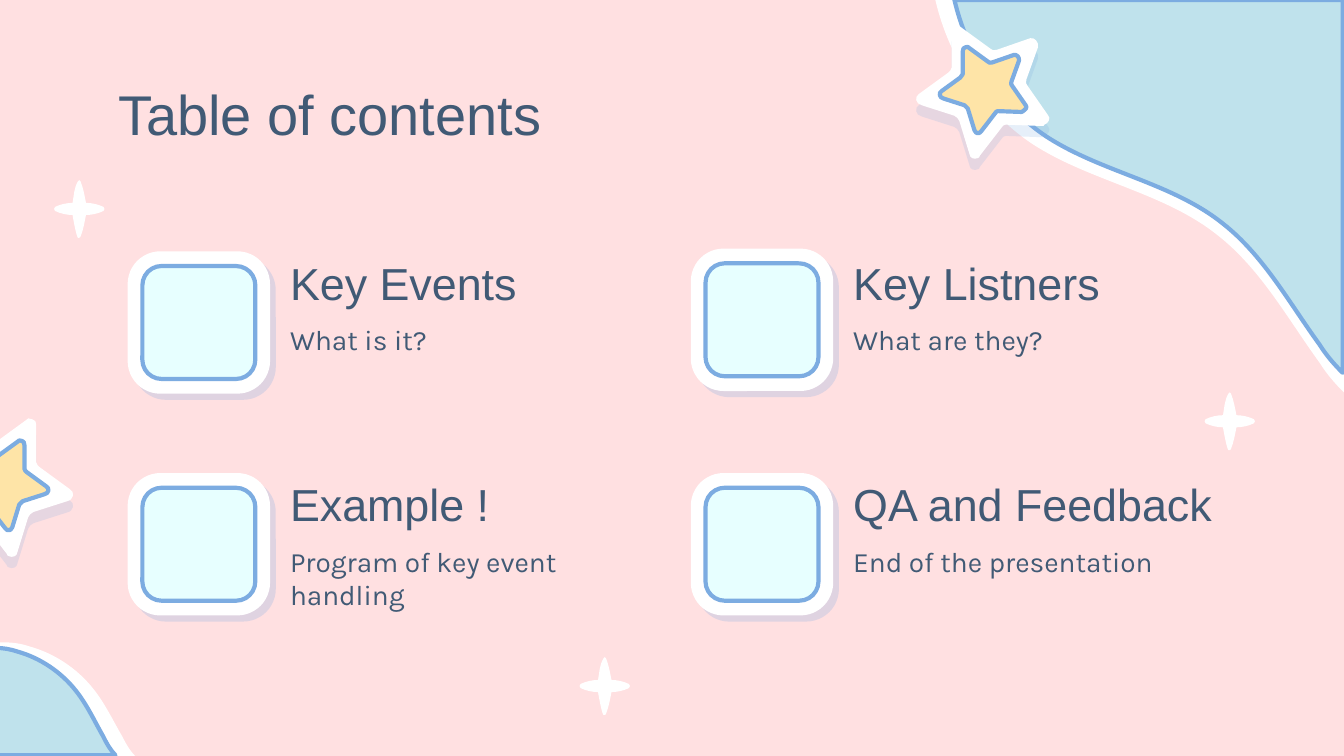
from dataclasses import dataclass

from pptx import Presentation
from pptx.dml.color import RGBColor
from pptx.enum.shapes import MSO_SHAPE
from pptx.enum.text import MSO_ANCHOR, MSO_AUTO_SIZE, PP_ALIGN
from pptx.oxml.ns import qn
from pptx.oxml.xmlchemy import OxmlElement
from pptx.util import Inches, Pt


@dataclass(frozen=True)
class Theme:
    background: str = "FFE0E1"
    white: str = "FFFFFF"
    cloud: str = "BFE2EC"
    tile: str = "E7FFFF"
    star: str = "FEE4A7"
    outline: str = "7CACE1"
    ink: str = "415A75"
    outline_width: float = 2.25
    title_size: int = 30
    heading_size: int = 24
    body_size: int = 15
    heading_font: str = "Arial"
    body_font: str = "Karla"


@dataclass(frozen=True)
class Entry:
    heading: str
    detail: str
    left: float
    top: float
    tile_top: float
    heading_width: float = 2.8


THEME = Theme()

ENTRIES = [
    Entry("Key Events", "What is it?", 0.95, 1.87, 1.87),
    Entry("Key Listners", "What are they?", 5.14, 1.87, 1.85),
    Entry("Example !", "Program of key event handling", 0.95, 3.52, 3.52),
    Entry("QA and Feedback", "End of the presentation", 5.14, 3.52, 3.52, 3.09),
]

# Outlines in inches around an anchor: a start point, then lines (x, y)
# and cubic curves (x1, y1, x2, y2, x, y).
BOTTOM_CLOUD = [
    (-0.08, 0), (-0.09, 0, -0.1, -0.02, -0.12, -0.03),
    (-0.18, -0.12, -0.24, -0.21, -0.28, -0.3),
    (-0.32, -0.4, -0.34, -0.51, -0.31, -0.61),
    (-0.27, -0.72, -0.19, -0.8, -0.09, -0.83),
    (-0.05, -0.85, -0.01, -0.85, 0.04, -0.85),
    (0.1, -0.85, 0.16, -0.84, 0.22, -0.82),
    (0.4, -0.77, 0.57, -0.66, 0.69, -0.51),
    (0.78, -0.4, 0.84, -0.27, 0.91, -0.15), (0.94, -0.09, 0.97, -0.04, 1.01, 0),
]
CORNER_CLOUD = [
    (-3.04, 0), (-2.94, 0.43, -2.68, 0.83, -2.32, 1.07),
    (-1.89, 1.35, -1.34, 1.43, -0.94, 1.75), (-0.62, 2, -0.42, 2.37, -0.18, 2.7),
    (-0.13, 2.78, -0.07, 2.85, 0, 2.92), (0, 0),
]
STAR = [
    (0.22, -0.46), (0.2, -0.47, 0.18, -0.47, 0.17, -0.45),
    (-0.05, -0.29), (-0.06, -0.28, -0.08, -0.27, -0.1, -0.28),
    (-0.36, -0.37), (-0.39, -0.38, -0.43, -0.34, -0.42, -0.3),
    (-0.33, -0.05), (-0.32, -0.03, -0.33, -0.01, -0.34, 0),
    (-0.5, 0.23), (-0.52, 0.25, -0.5, 0.29, -0.47, 0.3),
    (-0.47, 0.31, -0.46, 0.31, -0.45, 0.31),
    (-0.17, 0.3), (-0.16, 0.3, -0.14, 0.31, -0.14, 0.32),
    (0.03, 0.54), (0.03, 0.55, 0.04, 0.56, 0.05, 0.56),
    (0.07, 0.57, 0.11, 0.56, 0.11, 0.53),
    (0.19, 0.27), (0.2, 0.25, 0.21, 0.24, 0.23, 0.23),
    (0.48, 0.15), (0.53, 0.14, 0.54, 0.08, 0.5, 0.06),
    (0.28, -0.1), (0.26, -0.11, 0.26, -0.12, 0.25, -0.14),
    (0.25, -0.41), (0.25, -0.44, 0.24, -0.46, 0.22, -0.46),
]
SPARKLE = [
    (0, -0.21), (-0.01, -0.21, -0.01, -0.21, -0.01, -0.2),
    (-0.04, -0.15, -0.04, -0.09, -0.05, -0.04),
    (-0.09, -0.04, -0.14, -0.03, -0.18, -0.01),
    (-0.19, 0, -0.19, 0.01, -0.18, 0.02),
    (-0.14, 0.04, -0.09, 0.05, -0.05, 0.05),
    (-0.04, 0.11, -0.02, 0.21, -0.01, 0.22), (0, 0.22, 0.01, 0.22, 0.01, 0.21),
    (0.03, 0.16, 0.04, 0.1, 0.05, 0.05), (0.09, 0.05, 0.14, 0.04, 0.18, 0.02),
    (0.19, 0.01, 0.19, 0, 0.18, -0.01),
    (0.14, -0.03, 0.09, -0.04, 0.05, -0.04),
    (0.04, -0.09, 0.03, -0.15, 0.01, -0.2), (0.01, -0.21, 0, -0.21, 0, -0.21),
]


def paint(shape, fill, outlined=False):
    shape.shadow.inherit = False
    shape.fill.solid()
    shape.fill.fore_color.rgb = RGBColor.from_string(fill)
    if outlined:
        shape.line.color.rgb = RGBColor.from_string(THEME.outline)
        shape.line.width = Pt(THEME.outline_width)
    else:
        shape.line.fill.background()


def cast_shadow(shape, opacity, distance, angle):
    """Add a hard shadow; opacity in percent, distance in points, angle in degrees."""
    shadow = OxmlElement("a:outerShdw")
    settings = {"blurRad": 0, "dist": Pt(distance), "dir": angle * 60000,
                "algn": "bl", "rotWithShape": 0}
    for name, value in settings.items():
        shadow.set(name, str(value))
    color = OxmlElement("a:srgbClr")
    color.set("val", THEME.outline)
    alpha = OxmlElement("a:alpha")
    alpha.set("val", str(opacity * 1000))
    color.append(alpha)
    shadow.append(color)
    shape.element.spPr.find(qn("a:effectLst")).append(shadow)


def add_outline(slide, steps, anchor, scale=(1, 1)):
    """Draw steps around anchor, turning each run of three curve points into a Bézier."""
    points = [
        tuple(Inches(anchor[axis] + step[i + axis] * scale[axis]) for axis in (0, 1))
        for step in steps for i in range(0, len(step), 2)
    ]
    builder = slide.shapes.build_freeform(*points[0])
    builder.add_line_segments(points[1:], close=True)
    shape = builder.convert_to_shape()
    segments = iter(list(shape.element.iter(qn("a:lnTo"))))
    for step in steps[1:]:
        parts = [next(segments) for _ in range(len(step) // 2)]
        if len(parts) == 3:
            curve = OxmlElement("a:cubicBezTo")
            parts[0].addprevious(curve)
            for part in parts:
                curve.append(part[0])
                part.getparent().remove(part)
    return shape


def add_cloud(slide, steps, anchor, inner_anchor, inner_scale):
    paint(add_outline(slide, steps, anchor), THEME.white)
    paint(add_outline(slide, steps, inner_anchor, inner_scale), THEME.cloud, True)


def add_star(slide, center, scale):
    border = add_outline(slide, STAR, center, scale)
    paint(border, THEME.white)
    cast_shadow(border, 19, 6, 90)
    inner_scale = [factor * 0.65 for factor in scale]
    paint(add_outline(slide, STAR, center, inner_scale), THEME.star, True)


def add_tile(slide, left, top):
    def rounded(inset, size, radius):
        box = (left + inset, top + inset, size, size)
        shape = slide.shapes.add_shape(MSO_SHAPE.ROUNDED_RECTANGLE, *map(Inches, box))
        shape.adjustments[0] = radius
        return shape

    border = rounded(0, 1.06, 0.23)
    paint(border, THEME.white)
    cast_shadow(border, 24, 4.5, 47)
    paint(rounded(0.11, 0.84, 0.17), THEME.tile, True)


def write(shape, text, size, font, anchor=MSO_ANCHOR.TOP):
    frame = shape.text_frame
    frame.text = text
    layout = {"word_wrap": True, "auto_size": MSO_AUTO_SIZE.NONE, "vertical_anchor": anchor}
    layout.update({f"margin_{side}": Inches(0.1) for side in ("left", "top", "right", "bottom")})
    for name, value in layout.items():
        setattr(frame, name, value)
    paragraph = frame.paragraphs[0]
    paragraph.alignment = PP_ALIGN.LEFT
    paragraph.line_spacing = 1.0
    run_font = paragraph.runs[0].font
    for name, value in {"size": Pt(size), "name": font}.items():
        setattr(run_font, name, value)
    run_font.color.rgb = RGBColor.from_string(THEME.ink)


def add_title(slide, text):
    title = slide.shapes.title
    place = {"left": 0.78, "top": 0.49, "width": 8.44, "height": 0.63}
    for name, value in place.items():
        setattr(title, name, Inches(value))
    write(title, text, THEME.title_size, THEME.heading_font)


def add_entry(slide, entry):
    def text_box(top, width, height):
        return slide.shapes.add_textbox(*map(Inches, (entry.left + 1.11, top, width, height)))

    add_tile(slide, entry.left, entry.tile_top)
    write(text_box(entry.top + 0.43, 2.8, 0.67), entry.detail, THEME.body_size, THEME.body_font)
    write(text_box(entry.top, entry.heading_width, 0.46), entry.heading,
          THEME.heading_size, THEME.heading_font, MSO_ANCHOR.MIDDLE)


def main():
    deck = Presentation()
    deck.slide_width, deck.slide_height = Inches(10), Inches(10 * 9 / 16)
    slide = deck.slides.add_slide(deck.slide_layouts[5])
    slide.background.fill.solid()
    slide.background.fill.fore_color.rgb = RGBColor.from_string(THEME.background)

    add_cloud(slide, BOTTOM_CLOUD, (0, 5.63), (-0.07, 5.62), (0.92, 0.94))
    add_cloud(slide, CORNER_CLOUD, (10, 0), (9.99, 0), (0.95, 0.95))
    add_star(slide, (0.02, 3.58), (1, 1))
    add_star(slide, (7.32, 0.64), (-0.96, 0.96))
    for center in [(0.59, 1.55), (4.5, 5.1), (9.15, 3.13)]:
        paint(add_outline(slide, SPARKLE, center), THEME.white)
    add_title(slide, "Table of contents")
    for entry in ENTRIES:
        add_entry(slide, entry)
    deck.save("out.pptx")


if __name__ == "__main__":
    main()
